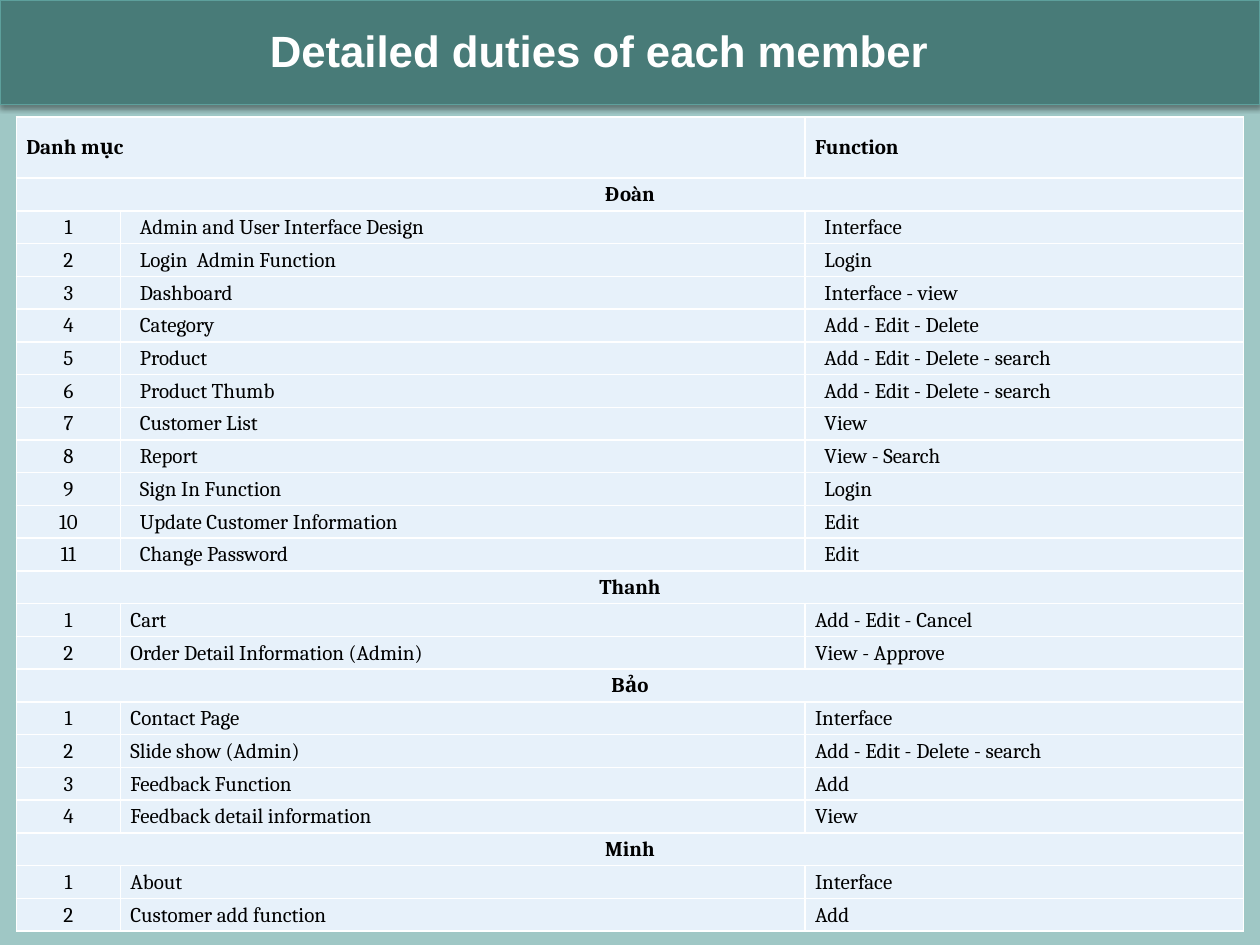
from lxml.etree import SubElement as Sub
from pptx import Presentation
from pptx.dml.color import RGBColor
from pptx.enum.shapes import MSO_SHAPE as Shape
from pptx.enum.text import MSO_ANCHOR as Anchor, PP_ALIGN as Align
from pptx.oxml import parse_xml
from pptx.oxml.ns import nsdecls, qn
from pptx.util import Cm, Pt

EDGE = "FFFFFF"
HEAD = ("Danh mục", "Function")
# Each group: member, left inset of its text in cm, tasks
GROUPS = [
    ("Đoàn", 0.39, [
        ("Admin and User Interface Design", "Interface"),
        ("Login  Admin Function", "Login"),
        ("Dashboard", "Interface - view"),
        ("Category", "Add - Edit - Delete"),
        ("Product", "Add - Edit - Delete - search"),
        ("Product Thumb", "Add - Edit - Delete - search"),
        ("Customer List", "View"),
        ("Report", "View - Search"),
        ("Sign In Function", "Login"),
        ("Update Customer Information", "Edit"),
        ("Change Password", "Edit")]),
    ("Thanh", 0.2, [
        ("Cart", "Add - Edit - Cancel"),
        ("Order Detail Information (Admin)", "View - Approve")]),
    ("Bảo", 0.2, [
        ("Contact Page", "Interface"),
        ("Slide show (Admin)", "Add - Edit - Delete - search"),
        ("Feedback Function", "Add"),
        ("Feedback detail information", "View")]),
    ("Minh", 0.2, [
        ("About", "Interface"),
        ("Customer add function", "Add")]),
]


def paint(part, color):
    part.solid()
    part.fore_color.rgb = RGBColor.from_string(color)


def style(para, text, color, align, **form):
    para.alignment = align
    run = para.add_run()
    run.text = text
    for key, value in form.items():
        setattr(run.font, key, value)
    paint(run.font.fill, color)


def add_bar(slide):
    bar = slide.shapes.add_shape(Shape.RECTANGLE, 0, 0, Cm(25.4), Cm(2.11))
    paint(bar.fill, "487B78")
    paint(bar.line.fill, "5DA09C")
    bar.line.width = Pt(0.75)
    bar.shadow.inherit = False
    glow = Sub(bar.element.spPr.find(qn("a:effectLst")), qn("a:outerShdw"),
               blurRad=str(Pt(3.1)), dist=str(Pt(1.6)),
               dir="5400000", rotWithShape="0")
    black = Sub(glow, qn("a:srgbClr"), val="000000")
    Sub(black, qn("a:alpha"), val="38000")


def add_title(slide, text):
    box = slide.shapes.add_textbox(Cm(0.64), Cm(0.43), Cm(22.86), Cm(1.14))
    frame = box.text_frame
    frame.word_wrap = True
    frame.vertical_anchor = Anchor.MIDDLE
    style(frame.paragraphs[0], text, "FFFFFF", Align.CENTER,
          name="Arial", size=Pt(25), bold=True)


def edge(cell):
    props = cell._tc.get_or_add_tcPr()
    for spot, side in enumerate("LRTB"):
        props.insert(spot, parse_xml(
            f'<a:ln{side} {nsdecls("a")} w="{Pt(1)}"><a:solidFill>'
            f'<a:srgbClr val="{EDGE}"/></a:solidFill></a:ln{side}>'))


def fill_cell(cell, text, left=0.02, align=Align.LEFT, bold=False):
    form = dict(margin_left=Cm(left), margin_right=Cm(0.02),
                margin_top=Cm(0.02), margin_bottom=0,
                vertical_anchor=Anchor.MIDDLE)
    for key, value in form.items():
        setattr(cell, key, value)
    style(cell.text_frame.paragraphs[0], text, "000000", align,
          name="Cambria", size=Pt(12), bold=bold)


def add_duties(slide):
    count = 1 + sum(1 + len(tasks) for _, _, tasks in GROUPS)
    table = slide.shapes.add_table(
        count, 3, Cm(0.33), Cm(2.36), Cm(24.74), Cm(16.46)).table
    table.first_row = table.horz_banding = False
    for col, width in zip(table.columns, (2.1, 13.8, 8.84)):
        col.width = Cm(width)
    for row in table.rows:
        row.height = Cm(0.66)
    table.rows[0].height = Cm(1.23)
    for cell in table.iter_cells():
        paint(cell.fill, "E7F1FA")
        edge(cell)

    # Header
    table.cell(0, 0).merge(table.cell(0, 1))
    for col, text in zip((0, 2), HEAD):
        fill_cell(table.cell(0, col), text, 0.2, bold=True)

    # Members and their tasks
    row = 1
    for member, left, tasks in GROUPS:
        table.cell(row, 0).merge(table.cell(row, 2))
        fill_cell(table.cell(row, 0), member, align=Align.CENTER, bold=True)
        for num, (task, role) in enumerate(tasks, 1):
            line = row + num
            fill_cell(table.cell(line, 0), str(num), align=Align.CENTER)
            fill_cell(table.cell(line, 1), task, left)
            fill_cell(table.cell(line, 2), role, left)
        row += len(tasks) + 1


def main():
    deck = Presentation()
    deck.slide_width, deck.slide_height = Cm(25.4), Cm(19.05)
    slide = deck.slides.add_slide(deck.slide_layouts[6])
    paint(slide.background.fill, "9FC7C5")
    add_bar(slide)
    add_title(slide, "Detailed duties of each member")
    add_duties(slide)
    deck.save("out.pptx")


main()
